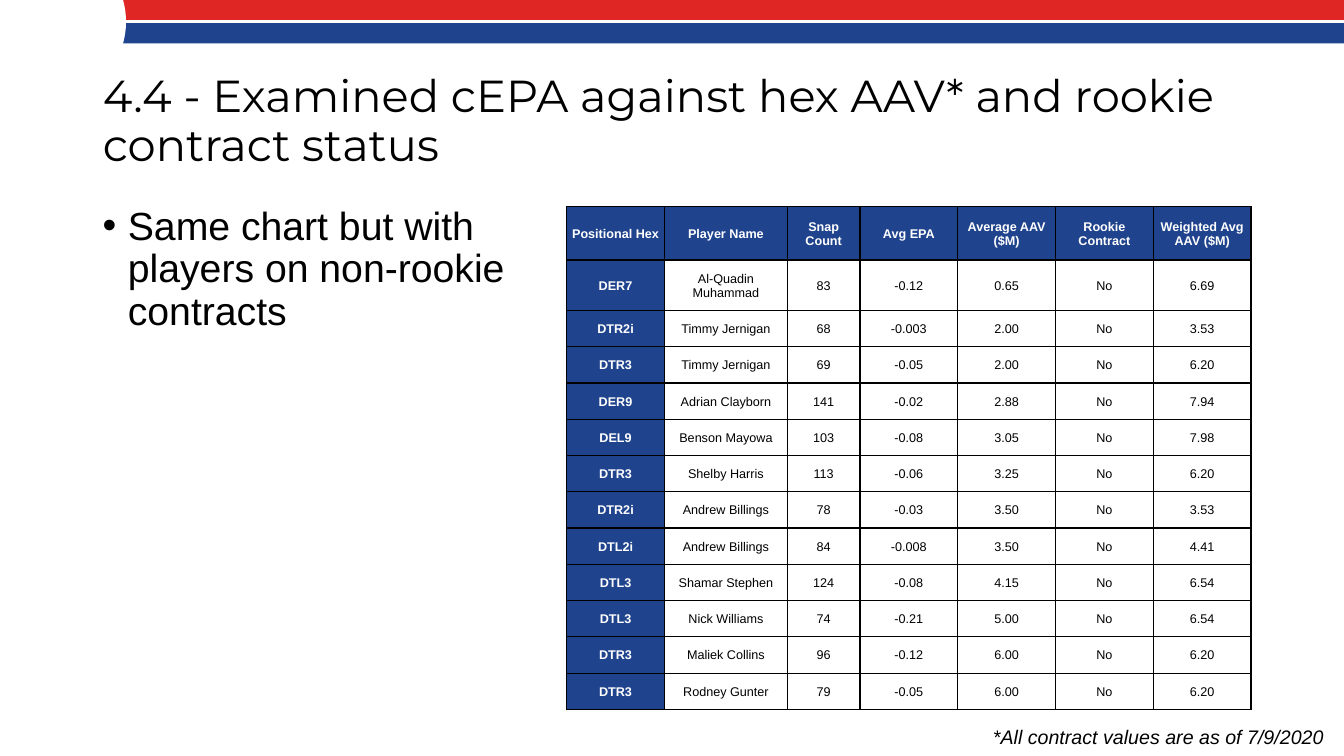
"""Build the slide on cEPA against hex AAV for players on non-rookie contracts."""
import lxml.etree
import pptx
import pptx.dml.color
import pptx.enum.shapes
import pptx.enum.text
import pptx.oxml
import pptx.oxml.ns
import pptx.util

Inches = pptx.util.Inches
Pt = pptx.util.Pt
qn = pptx.oxml.ns.qn
MIDDLE = pptx.enum.text.MSO_ANCHOR.MIDDLE
ALIGN = pptx.enum.text.PP_ALIGN
SHAPE = pptx.enum.shapes.MSO_SHAPE

RED = pptx.dml.color.RGBColor(0xE0, 0x26, 0x24)
BLUE = pptx.dml.color.RGBColor(0x1F, 0x43, 0x8C)
WHITE = pptx.dml.color.RGBColor(0xFF, 0xFF, 0xFF)
BLACK = pptx.dml.color.RGBColor(0x00, 0x00, 0x00)

COLUMN_WIDTHS = [0.97, 1.22, 0.72, 0.97, 0.97, 0.97, 0.97]
HEADINGS = ["Positional Hex", "Player Name", "Snap Count", "Avg EPA",
            "Average AAV ($M)", "Rookie Contract", "Weighted Avg AAV ($M)"]
PLAYERS = [
    ["DER7", "Al-Quadin Muhammad", "83", "-0.12", "0.65", "No", "6.69"],
    ["DTR2i", "Timmy Jernigan", "68", "-0.003", "2.00", "No", "3.53"],
    ["DTR3", "Timmy Jernigan", "69", "-0.05", "2.00", "No", "6.20"],
    ["DER9", "Adrian Clayborn", "141", "-0.02", "2.88", "No", "7.94"],
    ["DEL9", "Benson Mayowa", "103", "-0.08", "3.05", "No", "7.98"],
    ["DTR3", "Shelby Harris", "113", "-0.06", "3.25", "No", "6.20"],
    ["DTR2i", "Andrew Billings", "78", "-0.03", "3.50", "No", "3.53"],
    ["DTL2i", "Andrew Billings", "84", "-0.008", "3.50", "No", "4.41"],
    ["DTL3", "Shamar Stephen", "124", "-0.08", "4.15", "No", "6.54"],
    ["DTL3", "Nick Williams", "74", "-0.21", "5.00", "No", "6.54"],
    ["DTR3", "Maliek Collins", "96", "-0.12", "6.00", "No", "6.20"],
    ["DTR3", "Rodney Gunter", "79", "-0.05", "6.00", "No", "6.20"],
]
ROW_HEIGHTS = [0.53, 0.5] + [0.36] * (len(PLAYERS) - 1)


def write(frame, text, size, font="Arial", color=BLACK, bold=False,
          italic=False, align=ALIGN.LEFT):
    """Set the text of a frame and format it; return its paragraph."""
    frame.text = text
    paragraph = frame.paragraphs[0]
    paragraph.alignment = align
    for run in paragraph.runs:
        run.font.name = font
        run.font.size = Pt(size)
        run.font.color.rgb = color
        run.font.bold = bold
        run.font.italic = italic
    return paragraph


def add_band(slide, kind, left, top, width, height, color):
    """Add one flat filled shape of the header decoration."""
    band = slide.shapes.add_shape(
        kind, Inches(left), Inches(top), Inches(width), Inches(height))
    band.shadow.inherit = False
    band.fill.solid()
    band.fill.fore_color.rgb = color
    band.line.fill.background()


def add_divider(slide):
    """Add the white line between the two header bands."""
    divider = slide.shapes.add_connector(
        pptx.enum.shapes.MSO_CONNECTOR.STRAIGHT,
        Inches(1.25), Inches(0.21), Inches(13.33), Inches(0.21))
    divider.line.color.rgb = WHITE
    divider.line.width = Pt(2.25)
    properties = divider.element.find(qn("p:spPr"))
    lxml.etree.SubElement(properties, qn("a:effectLst"))


def place_title(slide, text):
    """Move and format the title, and bring it in front of the header."""
    title = slide.shapes.title
    title.left, title.top = Inches(0.92), Inches(0.49)
    title.width, title.height = Inches(11.5), Inches(1.45)
    frame = title.text_frame
    frame.word_wrap = True
    frame.auto_size = pptx.enum.text.MSO_AUTO_SIZE.NONE
    frame.vertical_anchor = MIDDLE
    write(frame, text, 32, font="Montserrat").line_spacing = 0.9
    title.element.getparent().append(title.element)


def add_bullet(slide, text):
    """Add the bulleted remark on the left."""
    remark = slide.shapes.add_textbox(
        Inches(0.92), Inches(2), Inches(4.71), Inches(4.76))
    remark.text_frame.word_wrap = True
    paragraph = write(remark.text_frame, text, 28)
    paragraph.line_spacing = 0.9
    paragraph.space_before = Pt(10)
    properties = paragraph._p.get_or_add_pPr()
    properties.set("marL", str(Inches(0.25)))
    properties.set("indent", str(Inches(-0.25)))
    lxml.etree.SubElement(properties, qn("a:buFont"), typeface="Arial")
    lxml.etree.SubElement(properties, qn("a:buChar"), char="•")


def add_footnote(slide, text):
    """Add the italic footnote at the lower right."""
    footnote = slide.shapes.add_textbox(
        Inches(9.75), Inches(7.14), Inches(3.5), Inches(0.34))
    footnote.text_frame.word_wrap = False
    footnote.text_frame.auto_size = pptx.enum.text.MSO_AUTO_SIZE.SHAPE_TO_FIT_TEXT
    write(footnote.text_frame, text, 14, italic=True)


def outline_cell(cell):
    """Draw a black border on all four sides of a cell."""
    properties = cell._tc.get_or_add_tcPr()
    for position, side in enumerate(("a:lnL", "a:lnR", "a:lnT", "a:lnB")):
        border = lxml.etree.Element(qn(side), w=str(Pt(1)))
        fill = lxml.etree.SubElement(border, qn("a:solidFill"))
        lxml.etree.SubElement(fill, qn("a:srgbClr"), val=str(BLACK))
        properties.insert(position, border)


def format_cell(cell, text, is_heading):
    """Fill, outline and write one table cell."""
    cell.margin_left = cell.margin_right = cell.margin_top = Inches(0.01)
    cell.margin_bottom = 0
    cell.vertical_anchor = MIDDLE
    if is_heading:
        cell.fill.solid()
        cell.fill.fore_color.rgb = BLUE
    else:
        cell.fill.background()
    outline_cell(cell)
    write(cell.text_frame, text, 9, color=WHITE if is_heading else BLACK,
          bold=is_heading, align=ALIGN.CENTER)


def add_player_table(slide):
    """Add the table of players with blue headings on top and at left."""
    table = slide.shapes.add_table(
        len(ROW_HEIGHTS), len(COLUMN_WIDTHS), Inches(5.62), Inches(2.05),
        Inches(sum(COLUMN_WIDTHS)), Inches(sum(ROW_HEIGHTS))).table
    table.first_row = False
    table.horz_banding = False
    for column, width in zip(table.columns, COLUMN_WIDTHS):
        column.width = Inches(width)
    for row, height in zip(table.rows, ROW_HEIGHTS):
        row.height = Inches(height)
    for r, values in enumerate([HEADINGS] + PLAYERS):
        for c, value in enumerate(values):
            format_cell(table.cell(r, c), value, r == 0 or c == 0)


def main():
    """Assemble and save the slide."""
    deck = pptx.Presentation()
    deck.slide_width, deck.slide_height = Inches(13.33), Inches(7.5)
    slide = deck.slides.add_slide(deck.slide_layouts[5])
    add_band(slide, SHAPE.RECTANGLE, 0.7, -0.02, 12.64, 0.31, RED)
    add_band(slide, SHAPE.RECTANGLE, 0.7, 0.21, 12.64, 0.22, BLUE)
    add_band(slide, SHAPE.OVAL, -0.34, -0.58, 1.59, 1.59, WHITE)
    add_divider(slide)
    place_title(slide, "4.4 - Examined cEPA against hex AAV* and rookie contract status")
    add_footnote(slide, "*All contract values are as of 7/9/2020")
    add_bullet(slide, "Same chart but with players on non-rookie contracts")
    add_player_table(slide)
    deck.save("out.pptx")


if __name__ == "__main__":
    main()
